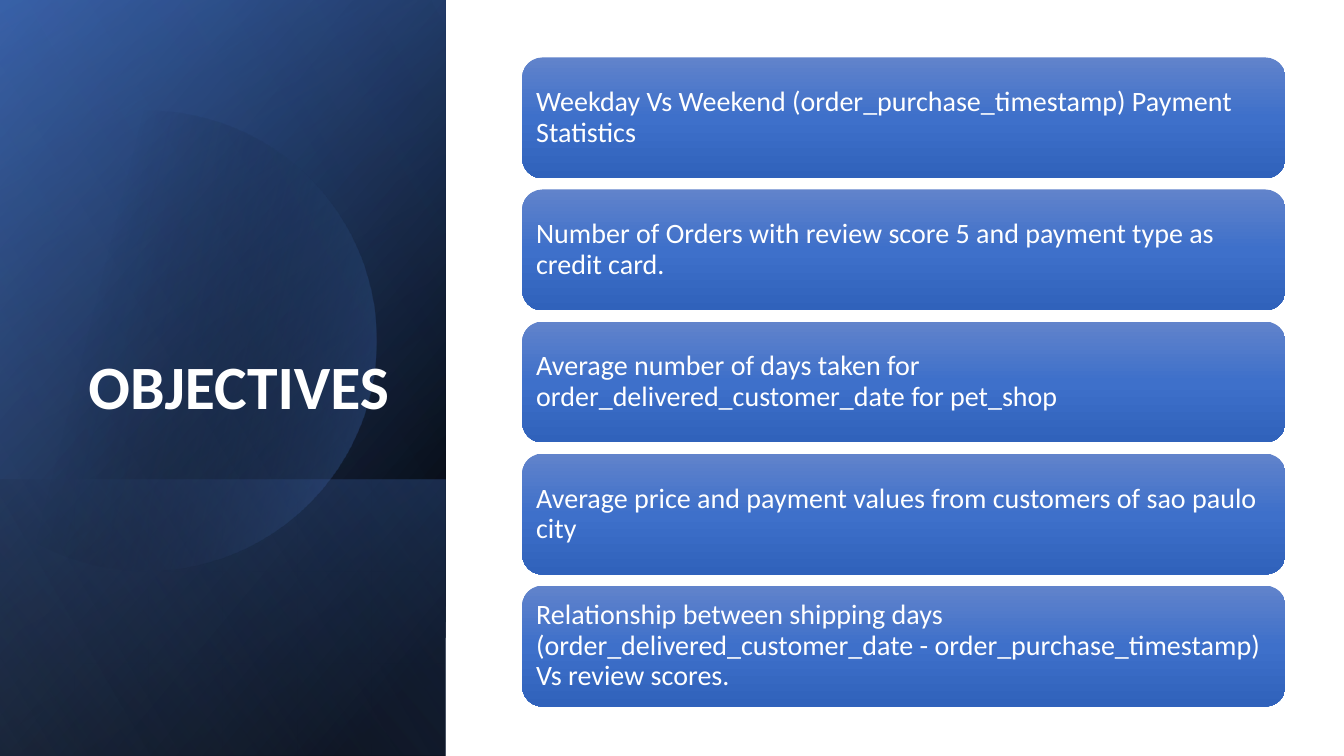
import math

import lxml.etree
import pptx
import pptx.dml.color
import pptx.enum.shapes
import pptx.enum.text
import pptx.oxml
import pptx.oxml.ns
import pptx.util

Inches = pptx.util.Inches
Pt = pptx.util.Pt
RGBColor = pptx.dml.color.RGBColor
SHAPE = pptx.enum.shapes.MSO_SHAPE
ANCHOR = pptx.enum.text.MSO_ANCHOR
ALIGN = pptx.enum.text.PP_ALIGN

WHITE = RGBColor(0xFF, 0xFF, 0xFF)
BLACK = RGBColor(0x00, 0x00, 0x00)
NAVY = RGBColor(0x2F, 0x55, 0x97)
BLUE = RGBColor(0x44, 0x72, 0xC4)
PALE_BLUE = RGBColor(0x8F, 0xAA, 0xDC)
CARD_TOP = RGBColor(0x61, 0x83, 0xCB)
CARD_MIDDLE = RGBColor(0x3E, 0x70, 0xCA)
CARD_BOTTOM = RGBColor(0x30, 0x62, 0xBB)
FONT = "Calibri"

OBJECTIVES = [
    "Weekday Vs Weekend (order_purchase_timestamp) Payment Statistics",
    "Number of Orders with review score 5 and payment type as credit card.",
    "Average number of days taken for order_delivered_customer_date for pet_shop",
    "Average price and payment values from customers of sao paulo city",
    "Relationship between shipping days (order_delivered_customer_date - "
    "order_purchase_timestamp) Vs review scores.",
]


def set_gradient(shape, angle, stops):
    """Fill with a linear gradient; stops are (position %, colour, opacity %)."""
    shape.shadow.inherit = False
    shape.line.fill.background()
    shape.fill.gradient()
    gradient = shape._element.spPr.find(pptx.oxml.ns.qn("a:gradFill"))
    stop_xml = "".join(
        f'<a:gs pos="{position * 1000}"><a:srgbClr val="{color}">'
        f'<a:alpha val="{opacity * 1000}"/></a:srgbClr></a:gs>'
        for position, color, opacity in stops
    )
    gradient.getparent().replace(gradient, pptx.oxml.parse_xml(
        f'<a:gradFill {pptx.oxml.ns.nsdecls("a")} rotWithShape="1">'
        f'<a:gsLst>{stop_xml}</a:gsLst>'
        f'<a:lin ang="{angle * 60000}" scaled="0"/></a:gradFill>'
    ))


def add_gradient_box(slide, kind, left, top, width, height, angle, stops):
    shape = slide.shapes.add_shape(
        kind, Inches(left), Inches(top), Inches(width), Inches(height))
    set_gradient(shape, angle, stops)
    return shape


def add_cut_circle(slide, left, center_x, center_y, radius):
    """Draw a circle cut off by the vertical line at left."""
    limit = math.acos((left - center_x) / radius)
    steps = 120
    angles = [limit * (2 * step / steps - 1) for step in range(steps + 1)]
    points = [(Inches(center_x + radius * math.cos(angle)),
               Inches(center_y + radius * math.sin(angle))) for angle in angles]
    builder = slide.shapes.build_freeform(*points[0])
    builder.add_line_segments(points[1:], close=True)
    return builder.convert_to_shape()


def style_text(paragraph, size, bold=False, alignment=ALIGN.LEFT):
    paragraph.alignment = alignment
    paragraph.line_spacing = 0.9
    paragraph.font.name = FONT
    paragraph.font.size = Pt(size)
    paragraph.font.bold = bold
    paragraph.font.color.rgb = WHITE


def add_title_panel(slide, left, top, width, height):
    # Layered gradients behind the circle
    band_height = 2.74
    layers = [
        (height, 220, [(8, BLACK, 100), (100, NAVY, 100)]),
        (height, 240, [(0, BLACK, 0), (99, BLUE, 46)]),
        (band_height, 140, [(2, BLUE, 29), (100, BLACK, 30)]),
    ]
    for layer_height, angle, stops in layers:
        add_gradient_box(slide, SHAPE.RECTANGLE, left, top + height - layer_height,
                         width, layer_height, angle, stops)

    # Circle and the veil over it
    circle = add_cut_circle(slide, left, left + 1.45, top + 3.38, 2.28)
    set_gradient(circle, 14, [(29, BLACK, 0), (100, BLUE, 43)])
    add_gradient_box(slide, SHAPE.RECTANGLE, left, top, width, height,
                     150, [(0, BLACK, 0), (99, PALE_BLUE, 11)])

    # Title
    title = slide.shapes.add_textbox(
        Inches(left + 0.46), Inches(top + 3.25), Inches(3.5), Inches(0.99))
    frame = title.text_frame
    frame.word_wrap = True
    frame.vertical_anchor = ANCHOR.BOTTOM
    frame.text = "OBJECTIVES"
    style_text(frame.paragraphs[0], 44, bold=True, alignment=ALIGN.RIGHT)


def add_objective_cards(slide, left, top, width, height):
    card_height = 1.2
    pitch = (height - card_height) / (len(OBJECTIVES) - 1)
    stops = [(0, CARD_TOP, 100), (50, CARD_MIDDLE, 100), (100, CARD_BOTTOM, 100)]
    for index, objective in enumerate(OBJECTIVES):
        card = add_gradient_box(slide, SHAPE.ROUNDED_RECTANGLE, left,
                                top + index * pitch, width, card_height, 90, stops)
        frame = card.text_frame
        frame.word_wrap = True
        frame.vertical_anchor = ANCHOR.MIDDLE
        frame.margin_left = frame.margin_right = Inches(0.08)
        frame.margin_top = frame.margin_bottom = Inches(0.08)
        frame.text = objective
        style_text(frame.paragraphs[0], 20)


def main():
    presentation = pptx.Presentation()
    presentation.slide_width = Inches(13.33)
    presentation.slide_height = Inches(7.5)
    slide = presentation.slides.add_slide(presentation.slide_layouts[6])
    add_title_panel(slide, 0, 0, 4.42, 7.5)
    add_objective_cards(slide, 5.18, 0.57, 7.57, 6.44)
    presentation.save("out.pptx")


if __name__ == "__main__":
    main()
